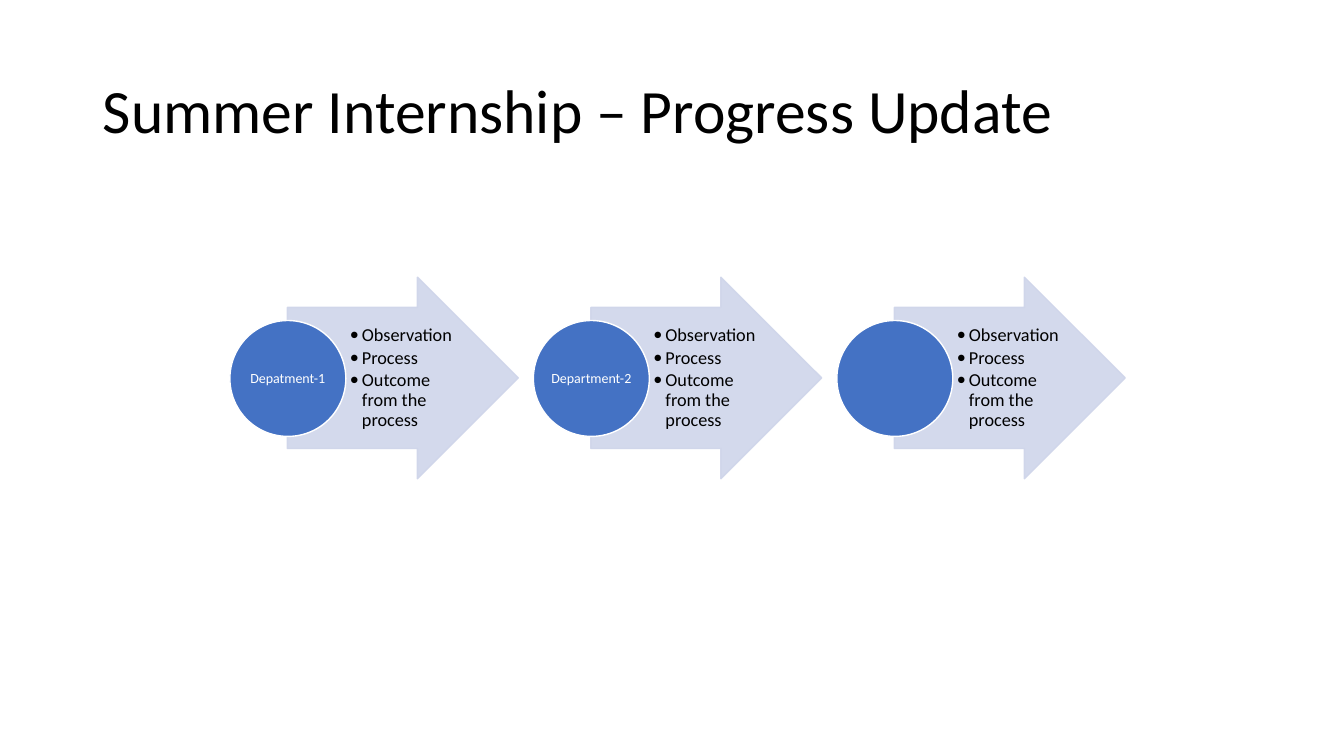
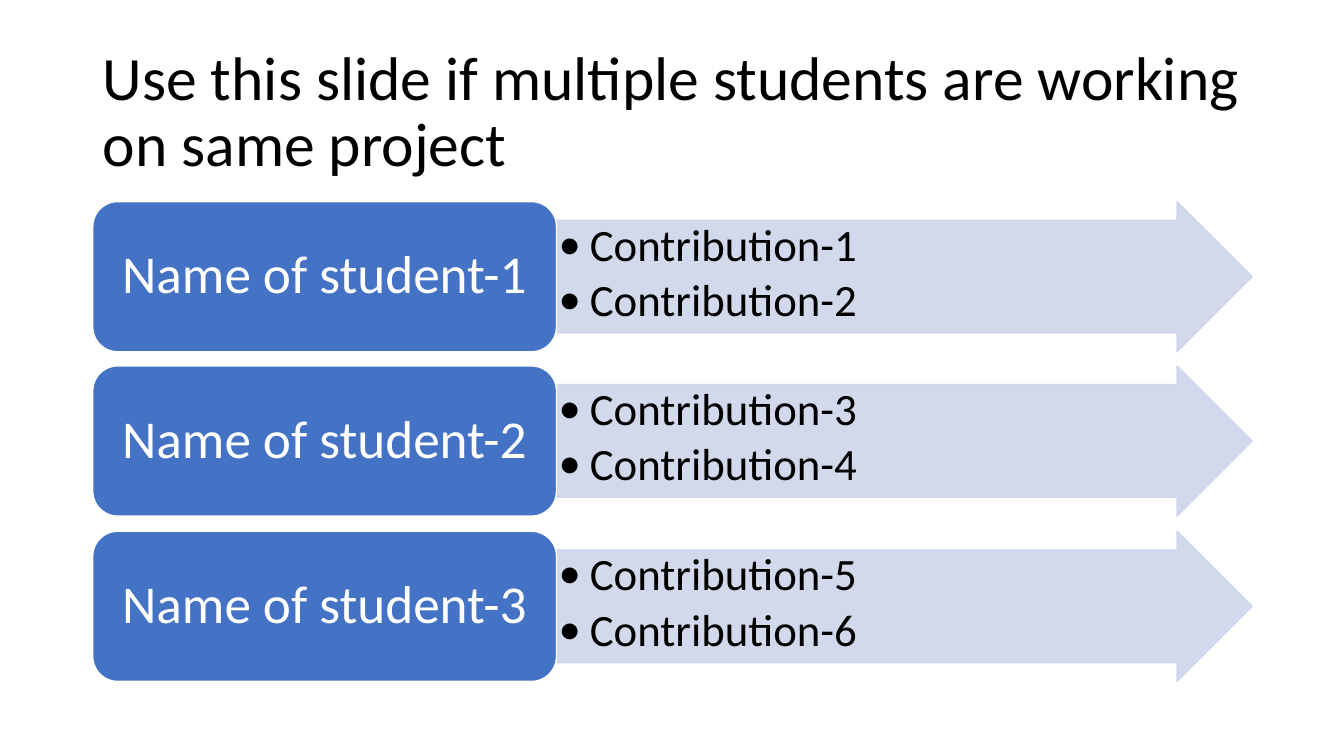
import pptx
import pptx.util
import pptx.dml.color
import pptx.enum.shapes
import pptx.enum.text
import pptx.oxml.ns
import lxml.etree

Kind = pptx.enum.shapes.MSO_SHAPE
Align = pptx.enum.text.PP_ALIGN
Anchor = pptx.enum.text.MSO_ANCHOR
Pt = pptx.util.Pt

# Content
STEPS = ["Depatment-1", "Department-2", ""]
NOTES = ["Observation", "Process", "Outcome from the process"]
TEAM = [
    ("Name of student-1", ["Contribution-1", "Contribution-2"]),
    ("Name of student-2", ["Contribution-3", "Contribution-4"]),
    ("Name of student-3", ["Contribution-5", "Contribution-6"]),
]
TITLES = [
    "Summer Internship – Progress Update",
    "Use this slide if multiple students are working on same project",
]

# Shared look: 100 px to the inch
SCALE = 9144
COLORS = {"text": "000000", "light": "FFFFFF", "main": "4472C4", "pale": "CFD5EA"}
FONT = "Calibri"
TITLE_BOX = (92, 40, 1150, 145)
SIDES = ("margin_left", "margin_top", "margin_right", "margin_bottom")

# Text styles: size, colour, insets, frame and paragraph formats, bullet indent
STYLES = {
    "title": dict(size=44, color="text", inset=(10, 5, 10, 5),
                  para=dict(alignment=Align.LEFT)),
    "step": dict(size=10, color="light", inset=(1, 1, 1, 1),
                 para=dict(alignment=Align.CENTER)),
    "note": dict(size=13, color="text", inset=(4, 1, 2, 1), bullet=12,
                 para=dict(alignment=Align.LEFT, space_after=Pt(2))),
    "name": dict(size=38, color="light", inset=(16, 8, 16, 8),
                 para=dict(alignment=Align.CENTER)),
    "work": dict(size=32, color="text", inset=(2, 2, 2, 2), bullet=31,
                 frame=dict(vertical_anchor=Anchor.TOP),
                 para=dict(alignment=Align.LEFT, space_after=Pt(5))),
}


def px(*values):
    return [pptx.util.Emu(v * SCALE) for v in values]


def rgb(name):
    return pptx.dml.color.RGBColor.from_string(COLORS[name])


def assign(target, values):
    for key, value in values.items():
        setattr(target, key, value)


def add_dot(para, indent):
    props = para._p.get_or_add_pPr()
    props.set("marL", str(indent * SCALE))
    props.set("indent", str(-indent * SCALE))
    font = lxml.etree.SubElement(props, pptx.oxml.ns.qn("a:buFont"))
    font.set("typeface", FONT)
    dot = lxml.etree.SubElement(props, pptx.oxml.ns.qn("a:buChar"))
    dot.set("char", "•")


def write(shape, lines, style):
    look = STYLES[style]
    frame = shape.text_frame
    assign(frame, {"word_wrap": True, "vertical_anchor": Anchor.MIDDLE,
                   "auto_size": pptx.enum.text.MSO_AUTO_SIZE.NONE,
                   **dict(zip(SIDES, px(*look["inset"]))),
                   **look.get("frame", {})})
    for i, line in enumerate(lines):
        para = frame.add_paragraph() if i else frame.paragraphs[0]
        if "bullet" in look:
            add_dot(para, look["bullet"])
        assign(para, {"line_spacing": 0.9, "space_before": Pt(0), **look["para"]})
        run = para.add_run()
        run.text = line
        assign(run.font, {"name": FONT, "size": Pt(look["size"])})
        run.font.color.rgb = rgb(look["color"])


def add_form(slide, kind, box, fill, line):
    shape = slide.shapes.add_shape(kind, *px(*box))
    shape.shadow.inherit = False
    shape.fill.solid()
    shape.fill.fore_color.rgb = rgb(fill)
    shape.line.color.rgb = rgb(line)
    shape.line.width = Pt(1)
    return shape


def add_arrow(slide, box, shaft):
    arrow = add_form(slide, Kind.RIGHT_ARROW, box, "pale", "pale")
    arrow.adjustments[0] = shaft
    arrow.adjustments[1] = 0.5
    for color in arrow._element.spPr.iter(pptx.oxml.ns.qn("a:srgbClr")):
        alpha = lxml.etree.SubElement(color, pptx.oxml.ns.qn("a:alpha"))
        alpha.set("val", "90000")
    return arrow


def add_page(deck, title):
    slide = deck.slides.add_slide(deck.slide_layouts[5])
    head = slide.shapes.title
    assign(head, dict(zip(("left", "top", "width", "height"), px(*TITLE_BOX))))
    write(head, [title], "title")
    return slide


def draw_steps(slide):
    left, top, pitch = 228, 275, 301
    wide, high, disc = 229, 200, 115
    mid = top + high // 2
    for i, step in enumerate(STEPS):
        x = left + i * pitch
        add_arrow(slide, (x + disc // 2, top, wide, high), 0.7)
        notes = slide.shapes.add_textbox(*px(x + disc, mid - 70, 112, 140))
        write(notes, NOTES, "note")
        circle = add_form(slide, Kind.OVAL, (x, mid - disc // 2, disc, disc),
                          "main", "light")
        if step:
            write(circle, [step], "step")


def draw_team(slide):
    left, top, bottom = 92, 200, 676
    card, wide, high = 460, 690, 149
    pitch = (bottom - top - high) / (len(TEAM) - 1)
    for i, (name, work) in enumerate(TEAM):
        y = top + int(i * pitch)
        arrow = add_arrow(slide, (left + card, y, wide, high), 0.75)
        write(arrow, work, "work")
        plate = add_form(slide, Kind.ROUNDED_RECTANGLE, (left, y, card, high),
                         "main", "light")
        write(plate, [name], "name")


def main():
    deck = pptx.Presentation()
    deck.slide_width, deck.slide_height = px(1333, 750)
    for title, draw in zip(TITLES, (draw_steps, draw_team)):
        draw(add_page(deck, title))
    deck.save("out.pptx")


if __name__ == "__main__":
    main()
